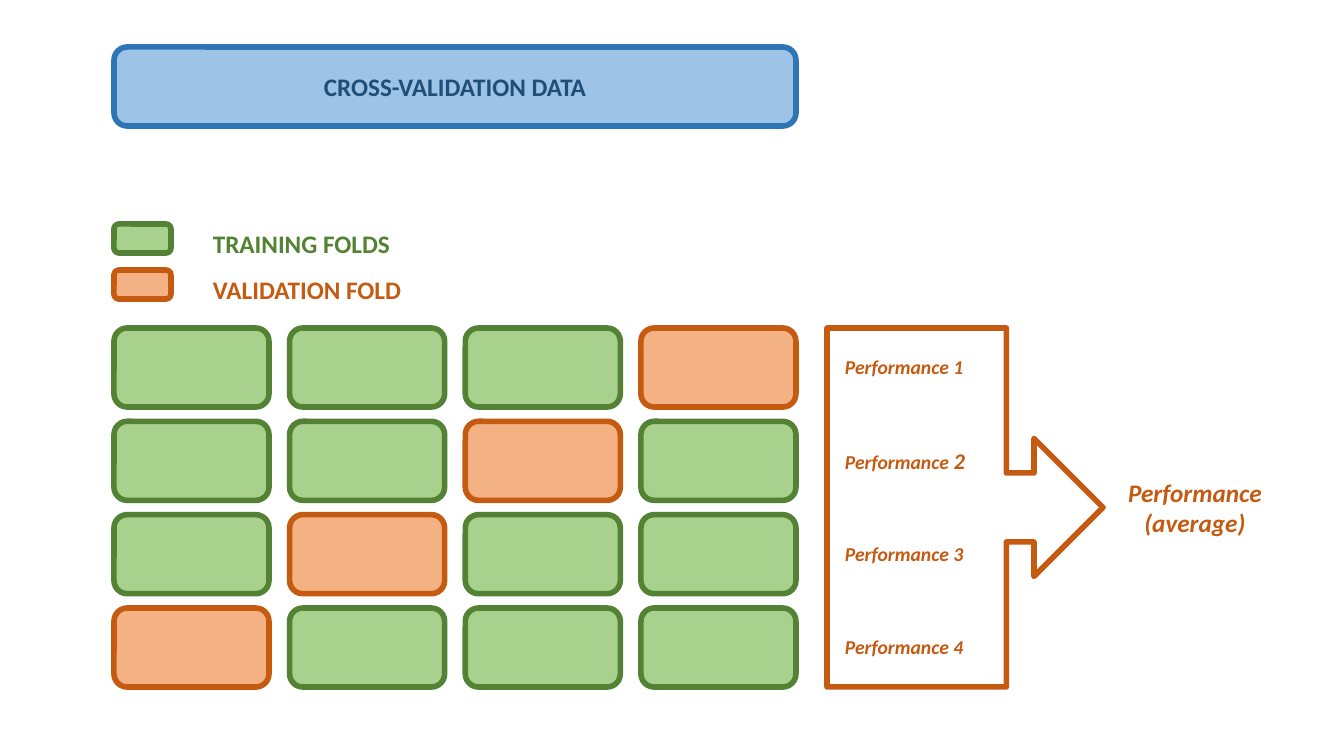
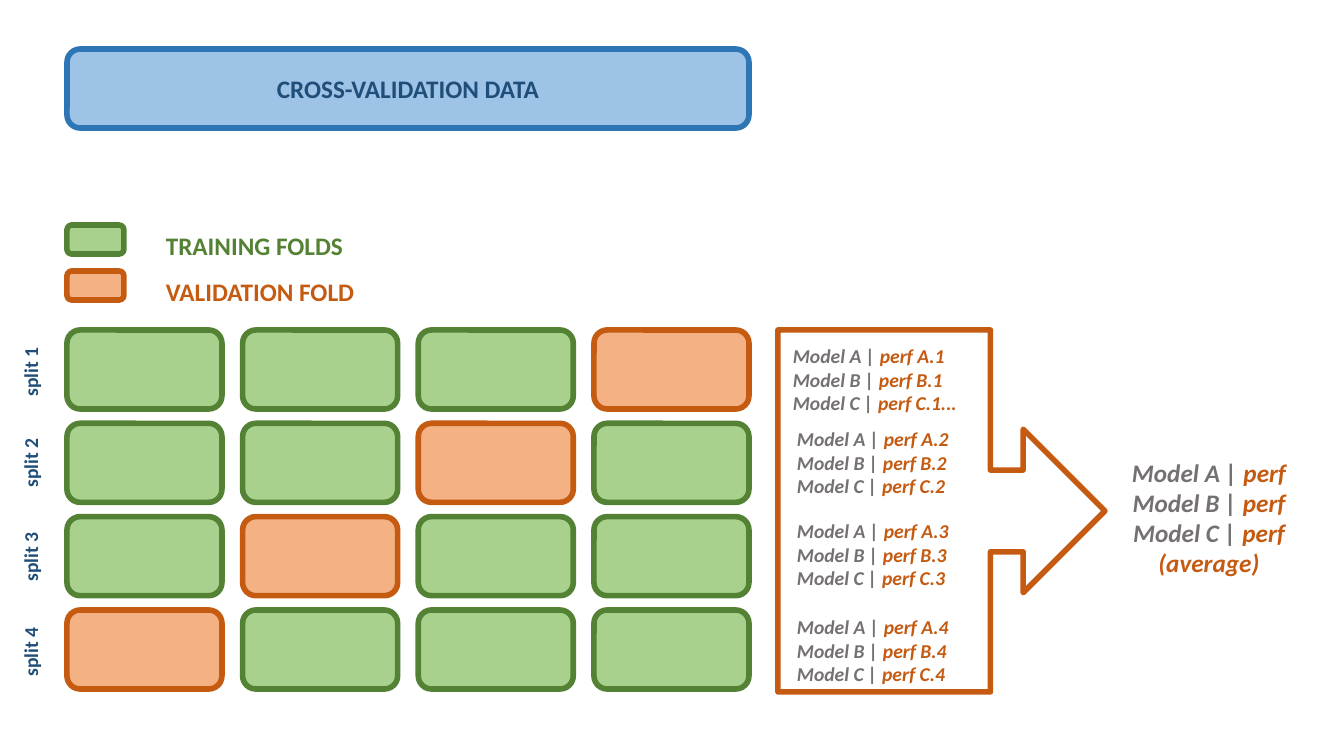
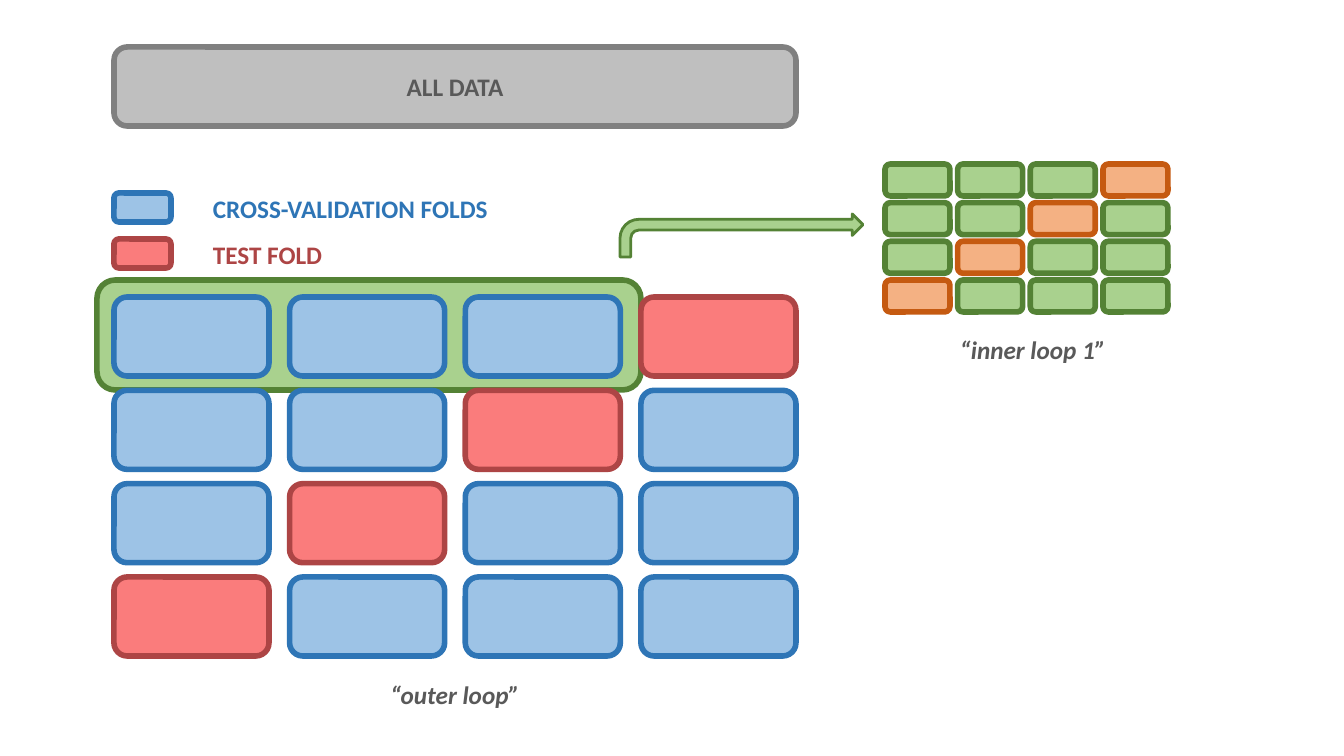
from pptx import Presentation
from pptx.dml.color import RGBColor
from pptx.enum.shapes import MSO_SHAPE
from pptx.enum.text import MSO_ANCHOR, MSO_AUTO_SIZE, PP_ALIGN
from pptx.util import Emu, Pt

PX = 914400 / 100.8
FONT = "Calibri"
GREEN = RGBColor(0xA9, 0xD1, 0x8E)
DARK_GREEN = RGBColor(0x54, 0x82, 0x35)
ORANGE = RGBColor(0xF4, 0xB1, 0x83)
DARK_ORANGE = RGBColor(0xC5, 0x5A, 0x11)
BLUE = RGBColor(0x9D, 0xC3, 0xE6)
MID_BLUE = RGBColor(0x2E, 0x75, 0xB6)
NAVY = RGBColor(0x1F, 0x4E, 0x79)
RED = RGBColor(0xFA, 0x7C, 0x7C)
DARK_RED = RGBColor(0xAD, 0x45, 0x45)
SILVER = RGBColor(0xBF, 0xBF, 0xBF)
GREY = RGBColor(0x80, 0x80, 0x80)
DARK_GREY = RGBColor(0x59, 0x59, 0x59)
WARM_GREY = RGBColor(0x76, 0x71, 0x71)

# Fill and line of each kind of fold
TRAINING = (GREEN, DARK_GREEN)
VALIDATION = (ORANGE, DARK_ORANGE)
CROSS = (BLUE, MID_BLUE)
TEST = (RED, DARK_RED)
ALL_DATA = (SILVER, GREY)

FOLDS = 4
GRID_W, GRID_H = 682, 359
CELL_W, CELL_H = 155, 79
LEGEND_STEP = 46


def px(n):
    """Turn pixels into EMU."""
    return Emu(round(n * PX))


def write(tf, paras, size=18, color=NAVY, bold=True, italic=False,
          align=PP_ALIGN.LEFT):
    """Fill a text frame; a paragraph is a string or a list of (text, changes)."""
    for i, runs in enumerate(paras):
        p = tf.paragraphs[0] if i == 0 else tf.add_paragraph()
        p.alignment = align
        for text, changes in [(runs, {})] if isinstance(runs, str) else runs:
            r = p.add_run()
            r.text = text
            r.font.name = FONT
            r.font.size = Pt(changes.get("size", size))
            r.font.bold, r.font.italic = bold, italic
            r.font.color.rgb = changes.get("color", color)


def add_text(s, x, y, w, h, *paras, wrap=True, rotation=0, **fmt):
    """Add a text box."""
    sp = s.shapes.add_textbox(px(x), px(y), px(w), px(h))
    sp.rotation = rotation
    tf = sp.text_frame
    tf.word_wrap = wrap
    tf.auto_size = MSO_AUTO_SIZE.SHAPE_TO_FIT_TEXT
    write(tf, paras, **fmt)


def add_box(s, x, y, w, h, style, kind=MSO_SHAPE.ROUNDED_RECTANGLE, weight=4):
    """Add a shape with a (fill, line) style; fill None leaves it open."""
    fill, line = style
    sp = s.shapes.add_shape(kind, px(x), px(y), px(w), px(h))
    sp.shadow.inherit = False
    if fill is None:
        sp.fill.background()
    else:
        sp.fill.solid()
        sp.fill.fore_color.rgb = fill
    sp.line.color.rgb = line
    sp.line.width = Pt(weight)
    return sp


def add_data_bar(s, x, y, text, style, color):
    """Add the wide bar that stands for the whole data set."""
    tf = add_box(s, x, y, GRID_W, CELL_H, style).text_frame
    tf.vertical_anchor = MSO_ANCHOR.MIDDLE
    write(tf, [text], color=color, align=PP_ALIGN.CENTER)


def add_legend(s, x, y, text_y, entries, text_w=262):
    """Add one swatch and label for each (label, style)."""
    for i, (label, style) in enumerate(entries):
        dy = i * LEGEND_STEP
        add_box(s, x, y + dy, 57, 29, style)
        add_text(s, x + 89, text_y + dy, text_w, 40, label, color=style[1])


def add_folds(s, x, y, usual, held_out, w=GRID_W, h=GRID_H,
              cell_w=CELL_W, cell_h=CELL_H):
    """Add the grid of splits, with the held-out fold on the rising diagonal."""
    step_x = (w - cell_w) / (FOLDS - 1)
    step_y = (h - cell_h) / (FOLDS - 1)
    for row in range(FOLDS):
        for col in range(FOLDS):
            style = held_out if row + col == FOLDS - 1 else usual
            add_box(s, x + col * step_x, y + row * step_y, cell_w, cell_h, style)


def add_cross_validation(s, x, bar_y, legend_y, text_y, grid_y):
    """Add the data bar, legend and grid of a cross-validation slide."""
    add_folds(s, x, grid_y, TRAINING, VALIDATION)
    add_legend(s, x, legend_y, text_y,
               [("TRAINING FOLDS", TRAINING), ("VALIDATION FOLD", VALIDATION)])
    add_data_bar(s, x, bar_y, "CROSS-VALIDATION DATA", CROSS, NAVY)


def add_callout(s, x, y, w, h):
    """Add the open arrow callout that gathers the scores."""
    add_box(s, x, y, w, h, (None, DARK_ORANGE), MSO_SHAPE.RIGHT_ARROW_CALLOUT)


def model_scores(suffix="", last=""):
    """Return a two-coloured paragraph for each model."""
    return [[(f"Model {m} |", {"color": WARM_GREY}),
             (f" perf{' ' + m + suffix if suffix else ''}"
              f"{last if m == 'C' else ''}", {})]
            for m in "ABC"]


def single_model_slide(s):
    """Build the slide that averages one model's performance."""
    fmt = dict(color=DARK_ORANGE, italic=True)
    add_callout(s, 827, 328, 276, 359)
    add_cross_validation(s, 114, 47, 224, 223, 328)
    for n, y in enumerate((350, 442, 537, 630), 1):
        number = (str(n), {"size": 16} if n == 2 else {})
        add_text(s, 835, y, 204, 34, [("Performance ", {}), number],
                 size=14, **fmt)
    add_text(s, 1093, 472, 204, 72, "Performance", "(average)",
             align=PP_ALIGN.CENTER, **fmt)


def model_comparison_slide(s):
    """Build the slide that compares three models over the splits."""
    fmt = dict(color=DARK_ORANGE, italic=True)
    add_callout(s, 778, 330, 327, 362)
    add_cross_validation(s, 67, 49, 225, 225, 330)
    blocks = ((783, 339, "..."), (787, 422, ""), (787, 514, ""), (787, 610, ""))
    for n, (x, y, last) in enumerate(blocks, 1):
        add_text(s, x, y, 204, 82, *model_scores(f".{n}", last), size=14, **fmt)
    add_text(s, 1106, 452, 206, 132, *model_scores(), "(average)",
             align=PP_ALIGN.CENTER, **fmt)
    for n, y in enumerate((351, 442, 536, 631), 1):
        add_text(s, -8, y, 77, 34, f"split {n}", size=14, wrap=False,
                 rotation=270)


def nested_loops_slide(s):
    """Build the slide with an outer loop and its first inner loop."""
    fmt = dict(color=DARK_GREY, italic=True, align=PP_ALIGN.CENTER, wrap=False)
    add_box(s, 97, 280, 544, 110, TRAINING)
    add_legend(s, 114, 193, 188,
               [("CROSS-VALIDATION FOLDS", CROSS), ("TEST FOLD", TEST)], 380)
    add_folds(s, 114, 297, CROSS, TEST)
    add_folds(s, 885, 164, TRAINING, VALIDATION, 283, 148, 65, 32)
    add_box(s, 620, 214, 243, 43, TRAINING, MSO_SHAPE.BENT_ARROW, 2)
    add_data_bar(s, 114, 47, "ALL DATA", ALL_DATA, DARK_GREY)
    add_text(s, 371, 674, 168, 40, "“outer loop”", **fmt)
    add_text(s, 939, 329, 188, 40, "“inner loop 1”", **fmt)


def main():
    """Build and save the presentation."""
    prs = Presentation()
    prs.slide_width, prs.slide_height = px(1344), px(756)
    for build in (single_model_slide, model_comparison_slide, nested_loops_slide):
        build(prs.slides.add_slide(prs.slide_layouts[6]))
    prs.save("out.pptx")


main()
